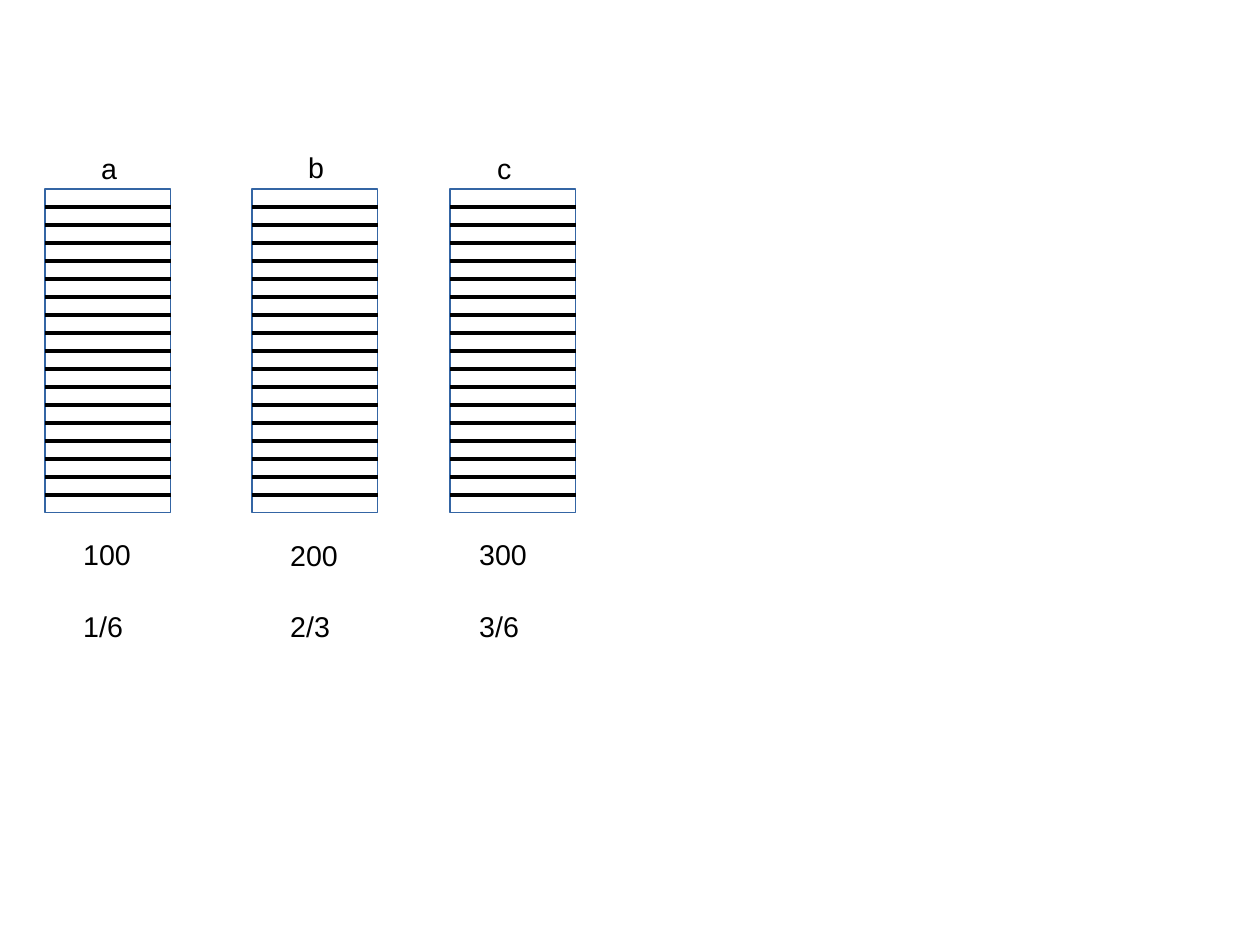
from lxml.etree import SubElement
from pptx import Presentation
from pptx.dml.color import RGBColor
from pptx.enum.shapes import MSO_CONNECTOR, MSO_SHAPE
from pptx.enum.text import MSO_AUTO_SIZE
from pptx.oxml.ns import qn
from pptx.util import Emu, Pt

PX = 8000
BLACK = RGBColor(0x00, 0x00, 0x00)
WHITE = RGBColor(0xFF, 0xFF, 0xFF)
BLUE = RGBColor(0x34, 0x65, 0xA4)
ROWS = 18
STACK_TOP, STACK_WIDTH, STACK_HEIGHT = 189, 126, 324
TEXT_HEIGHT = 43
STACKS = [
    dict(left=45, name="a", value="100", share="1/6", indent=27, value_width=72),
    dict(left=252, name="b", value="200", share="2/3", indent=27, name_shift=-1, value_shift=1),
    dict(left=450, name="c", value="300", share="3/6", indent=18),
]


def px(length):
    return Emu(length * PX)


def add_text(page, text, left, top, width, size=18, font="Arial", color=BLACK):
    box = page.shapes.add_textbox(px(left), px(top), px(width), px(TEXT_HEIGHT))
    frame = box.text_frame
    frame.word_wrap = True
    frame.auto_size = MSO_AUTO_SIZE.SHAPE_TO_FIT_TEXT
    span = frame.paragraphs[0].add_run()
    span.text = text
    span.font.size = Pt(size)
    span.font.name = font
    span.font.color.rgb = color


def add_ruled_box(page, left, top, width, height):
    group = page.shapes.add_group_shape()
    box = group.shapes.add_shape(
        MSO_SHAPE.RECTANGLE, px(left), px(top), px(width), px(height))
    box.shadow.inherit = False
    box.fill.solid()
    box.fill.fore_color.rgb = WHITE
    box.line.color.rgb = BLUE
    box.line.width = Pt(0)
    row_height = height // ROWS
    for row in range(1, ROWS):
        y = px(top + row * row_height)
        rule = group.shapes.add_connector(
            MSO_CONNECTOR.STRAIGHT, px(left), y, px(left + width), y)
        rule.line.color.rgb = BLACK
        rule.line.width = Pt(0)
        SubElement(rule._element.spPr, qn("a:effectLst"))


def add_stack(page, left, name, value, share, indent,
              value_width=STACK_WIDTH, name_shift=0, value_shift=0):
    bottom = STACK_TOP + STACK_HEIGHT
    text_left = left + indent
    add_ruled_box(page, left, STACK_TOP, STACK_WIDTH, STACK_HEIGHT)
    add_text(page, name, text_left + 18, STACK_TOP - 44 + name_shift, STACK_WIDTH)
    add_text(page, value, text_left, bottom + 18 + value_shift, value_width)
    add_text(page, share, text_left, bottom + 90, 90)


def main():
    deck = Presentation()
    deck.slide_width, deck.slide_height = px(1260), px(945)
    page = deck.slides.add_slide(deck.slide_layouts[6])
    for stack in STACKS:
        add_stack(page, **stack)
    deck.save("out.pptx")


if __name__ == "__main__":
    main()
